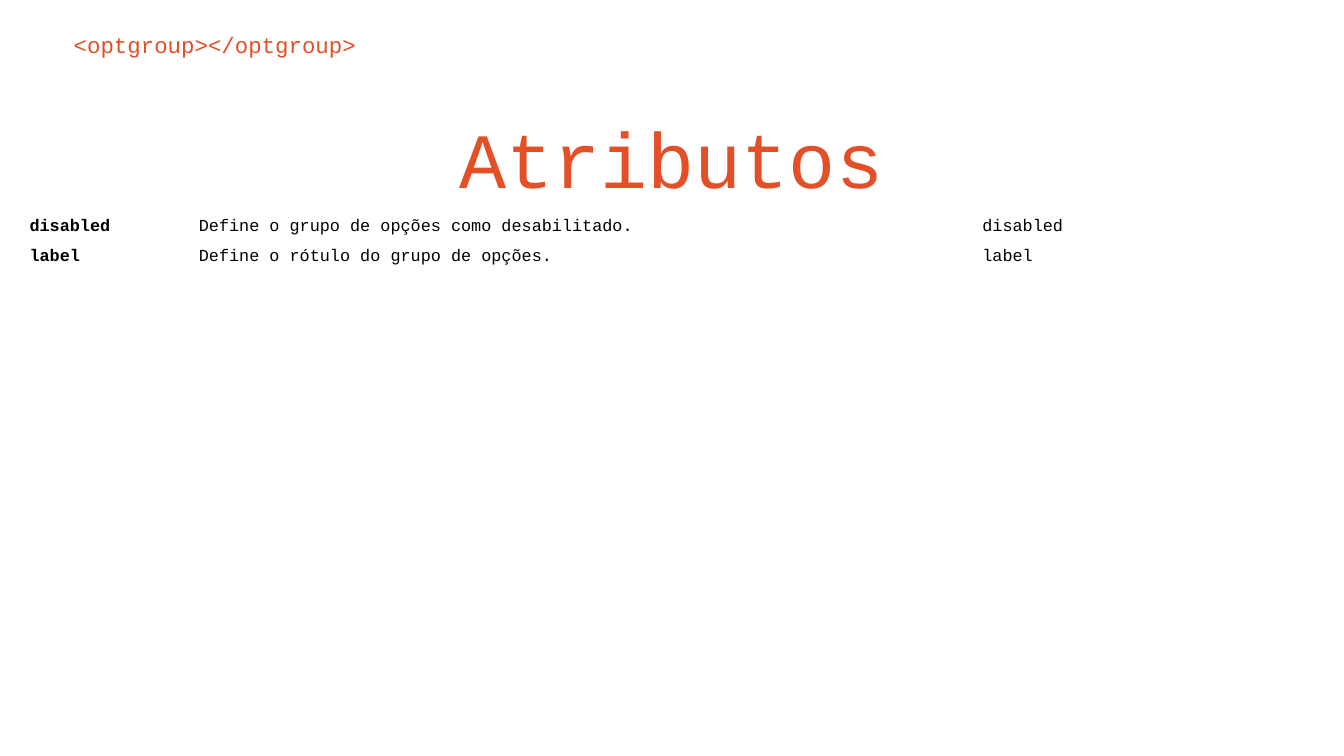
from dataclasses import dataclass

from pptx import Presentation
from pptx.dml.color import RGBColor
from pptx.enum.text import MSO_ANCHOR as Anchor, MSO_AUTO_SIZE as AutoSize, PP_ALIGN as Align
from pptx.util import Inches, Pt


@dataclass(frozen=True)
class Theme:
    font: str = "Courier New"
    accent: str = "E34F26"
    ink: str = "000000"
    tag_size: int = 12
    title_size: int = 42
    body_size: int = 9


THEME = Theme()
SLIDE_WIDTH = Inches(10)
SLIDE_HEIGHT = SLIDE_WIDTH * 9 // 16
COLUMN_WIDTHS = (1.26, 5.83, 2.43)
ROW_HEIGHT = 0.2
ATTRIBUTES = (
    ("disabled", "Define o grupo de opções como desabilitado.", "disabled"),
    ("label", "Define o rótulo do grupo de opções.", "label"),
)


def set_all(target, values):
    for name, value in values.items():
        setattr(target, name, value)


def margins(size):
    sides = ("left", "top", "right", "bottom")
    return {f"margin_{side}": Inches(size) for side in sides}


def write(tf, text, size, color, bold=False, align=Align.LEFT):
    p = tf.paragraphs[0]
    p.alignment = align
    r = p.add_run()
    r.text = text
    set_all(r.font, {"name": THEME.font, "size": Pt(size), "bold": bold})
    r.font.color.rgb = RGBColor.from_string(color)


def fill_heading(sp, text, size, align):
    tf = sp.text_frame
    set_all(tf, {"word_wrap": True, "auto_size": AutoSize.NONE,
                 "vertical_anchor": Anchor.TOP, **margins(0.1)})
    write(tf, text, size, THEME.accent, align=align)


def add_attribute_table(s, left, top):
    table = s.shapes.add_table(
        len(ATTRIBUTES), len(COLUMN_WIDTHS), Inches(left), Inches(top),
        Inches(sum(COLUMN_WIDTHS)), Inches(ROW_HEIGHT * len(ATTRIBUTES))).table
    set_all(table, {"first_row": False, "horz_banding": False})
    for column, width in zip(table.columns, COLUMN_WIDTHS):
        column.width = Inches(width)
    for i, values in enumerate(ATTRIBUTES):
        for j, text in enumerate(values):
            cell = table.cell(i, j)
            cell.fill.background()
            set_all(cell, margins(0.04))
            write(cell.text_frame, text, THEME.body_size, THEME.ink, bold=j == 0)


def main():
    prs = Presentation()
    set_all(prs, {"slide_width": SLIDE_WIDTH, "slide_height": SLIDE_HEIGHT})
    s = prs.slides.add_slide(prs.slide_layouts[5])

    # Tag name
    tag = s.shapes.add_textbox(Inches(0.45), Inches(0.13), Inches(9.18), Inches(0.42))
    fill_heading(tag, "<optgroup></optgroup>", THEME.tag_size, Align.LEFT)

    # Title
    title = s.shapes.title
    set_all(title, {"left": Inches(0.71), "top": Inches(0.72),
                    "width": Inches(8.57), "height": Inches(0.86)})
    fill_heading(title, "Atributos", THEME.title_size, Align.CENTER)

    # Attributes of the tag
    add_attribute_table(s, 0.18, 1.58)

    prs.save("out.pptx")


if __name__ == "__main__":
    main()
